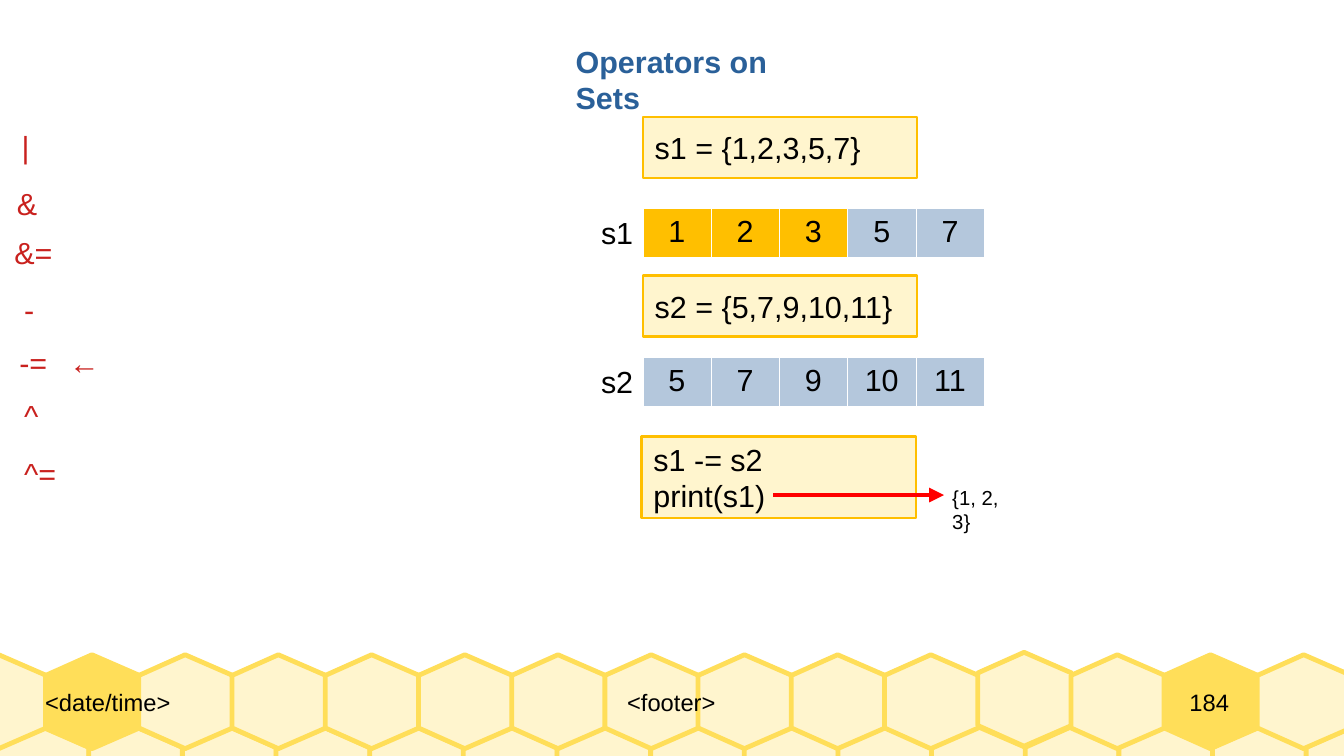
"""Build the slide on set operators, showing the in-place difference of s1 and s2."""
from lxml.etree import SubElement
from pptx import Presentation
from pptx.enum.shapes import MSO_CONNECTOR, MSO_SHAPE
from pptx.enum.text import MSO_ANCHOR, MSO_AUTO_SIZE, PP_ALIGN
from pptx.dml.color import RGBColor
from pptx.oxml.ns import qn
from pptx.util import Inches, Pt


def paint(fill, color):
    fill.solid()
    fill.fore_color.rgb = RGBColor.from_string(color)


def write(frame, text, size=18, color="000000", align=PP_ALIGN.LEFT, bold=False,
          tab=None, **frame_format):
    frame.text = text
    for name, value in frame_format.items():
        setattr(frame, name, value)
    for paragraph in frame.paragraphs:
        paragraph.alignment = align
        if tab:
            stops = SubElement(paragraph._p.get_or_add_pPr(), qn("a:tabLst"))
            SubElement(stops, qn("a:tab"), pos=str(Inches(tab)), algn="l")
        for name, value in {"name": "Arial", "size": Pt(size), "bold": bold}.items():
            setattr(paragraph.font, name, value)
        paint(paragraph.font.fill, color)


deck = Presentation()
deck.slide_width, deck.slide_height = Inches(11.02), Inches(6.2)
slide = deck.slides.add_slide(deck.slide_layouts[5])
shapes = slide.shapes

PALE, HONEY, AMBER, BLUE, RED = "FFF5CE", "FFDE59", "FFBF00", "B4C7DC", "C9211E"

cells_per_row = 15
raised_cell = 11
dark_cells = (1, 13)
lower_row = [(-0.04 + 10.75 * i / 14, 5.96, PALE) for i in range(cells_per_row)]
upper_row = [(-0.39 + 10.7 * i / 14, 5.35 if i == raised_cell else 5.37,
              HONEY if i in dark_cells else PALE) for i in range(cells_per_row)]
hexagon = [(0.38, 0), (0, 0.17), (0, 0.6), (0.38, 0.77), (0.77, 0.6), (0.77, 0.17)]
for left, top, color in lower_row + upper_row:
    corners = [(Inches(left + x), Inches(top + y)) for x, y in hexagon]
    outline = shapes.build_freeform(*corners[0])
    outline.add_line_segments(corners[1:], close=True)
    honeycomb = outline.convert_to_shape()
    honeycomb.shadow.inherit = False
    paint(honeycomb.fill, color)
    paint(honeycomb.line.fill, HONEY)
    honeycomb.line.width = Pt(2.83)

footers = [
    ("<date/time>", 0.37, 2.63, PP_ALIGN.LEFT),
    ("<footer>", 3, 5.01, PP_ALIGN.CENTER),
    ("184", 9.29, 1.25, PP_ALIGN.CENTER),
]
for text, left, width, align in footers:
    footer = shapes.add_textbox(Inches(left), Inches(5.37), Inches(width), Inches(0.77))
    write(footer.text_frame, text, 14, align=align, word_wrap=True,
          vertical_anchor=MSO_ANCHOR.MIDDLE, margin_left=0, margin_right=0,
          margin_top=0, margin_bottom=0)

title = shapes.title
title_place = {"left": 4.62, "top": 0.3, "width": 2.36, "height": 0.38}
for side, length in title_place.items():
    setattr(title, side, Inches(length))
write(title.text_frame, "Operators on Sets", color="2A6099", bold=True, word_wrap=False,
      auto_size=MSO_AUTO_SIZE.NONE, vertical_anchor=MSO_ANCHOR.TOP)

operators = [
    ("|", 0.08, 1), ("&", 0.04, 1.47), ("&=", 0.02, 1.87), ("-", 0.1, 2.34),
    ("-=\t←", 0.06, 2.77), ("^", 0.1, 3.21), ("^=", 0.1, 3.68),
]
for text, left, top in operators:
    operator = shapes.add_textbox(Inches(left), Inches(top), Inches(0.94), Inches(0.38))
    write(operator.text_frame, text, color=RED, word_wrap=True,
          tab=0.41 if "\t" in text else None)

statements = [
    ("s1 = {1,2,3,5,7}", 5.27, 0.96, 0.5),
    ("s2 = {5,7,9,10,11}", 5.27, 2.26, 0.5),
    ("s1 -= s2\nprint(s1)", 5.26, 3.58, 0.67),
]
for text, left, top, height in statements:
    statement = shapes.add_shape(MSO_SHAPE.RECTANGLE, Inches(left), Inches(top),
                                 Inches(2.25), Inches(height))
    statement.shadow.inherit = False
    paint(statement.fill, PALE)
    paint(statement.line.fill, AMBER)
    statement.line.width = Pt(1.42)
    write(statement.text_frame, text, word_wrap=True, vertical_anchor=MSO_ANCHOR.MIDDLE)

sets = [("s1", 1.71, (1, 2, 3, 5, 7)), ("s2", 2.93, (5, 7, 9, 10, 11))]
kept = (1, 2, 3)
for set_name, top, members in sets:
    label = shapes.add_textbox(Inches(4.83), Inches(top), Inches(0.5), Inches(0.38))
    write(label.text_frame, set_name, word_wrap=True)
    table = shapes.add_table(1, len(members), Inches(5.27), Inches(top),
                             Inches(2.8), Inches(0.38)).table
    table.first_row = table.horz_banding = False
    for cell, member in zip(table.iter_cells(), members):
        write(cell.text_frame, str(member), align=PP_ALIGN.CENTER)
        for edge in ("a:lnL", "a:lnR", "a:lnT", "a:lnB"):
            border = SubElement(cell._tc.get_or_add_tcPr(), qn(edge), w=str(Pt(0.06)))
            SubElement(SubElement(border, qn("a:solidFill")), qn("a:srgbClr"), val="FFFFFF")
        paint(cell.fill, AMBER if member in kept else BLUE)

result = shapes.add_textbox(Inches(7.71), Inches(3.93), Inches(0.77), Inches(0.29))
write(result.text_frame, "{1, 2, 3}", 12, word_wrap=False)

arrow = shapes.add_connector(MSO_CONNECTOR.STRAIGHT, Inches(6.34), Inches(4.06),
                             Inches(7.74), Inches(4.06))
paint(arrow.line.fill, "FF0000")
arrow.line.width = Pt(2.89)
SubElement(arrow.line._get_or_add_ln(), qn("a:tailEnd"), type="triangle")
SubElement(arrow._element.spPr, qn("a:effectLst"))

deck.save("out.pptx")
